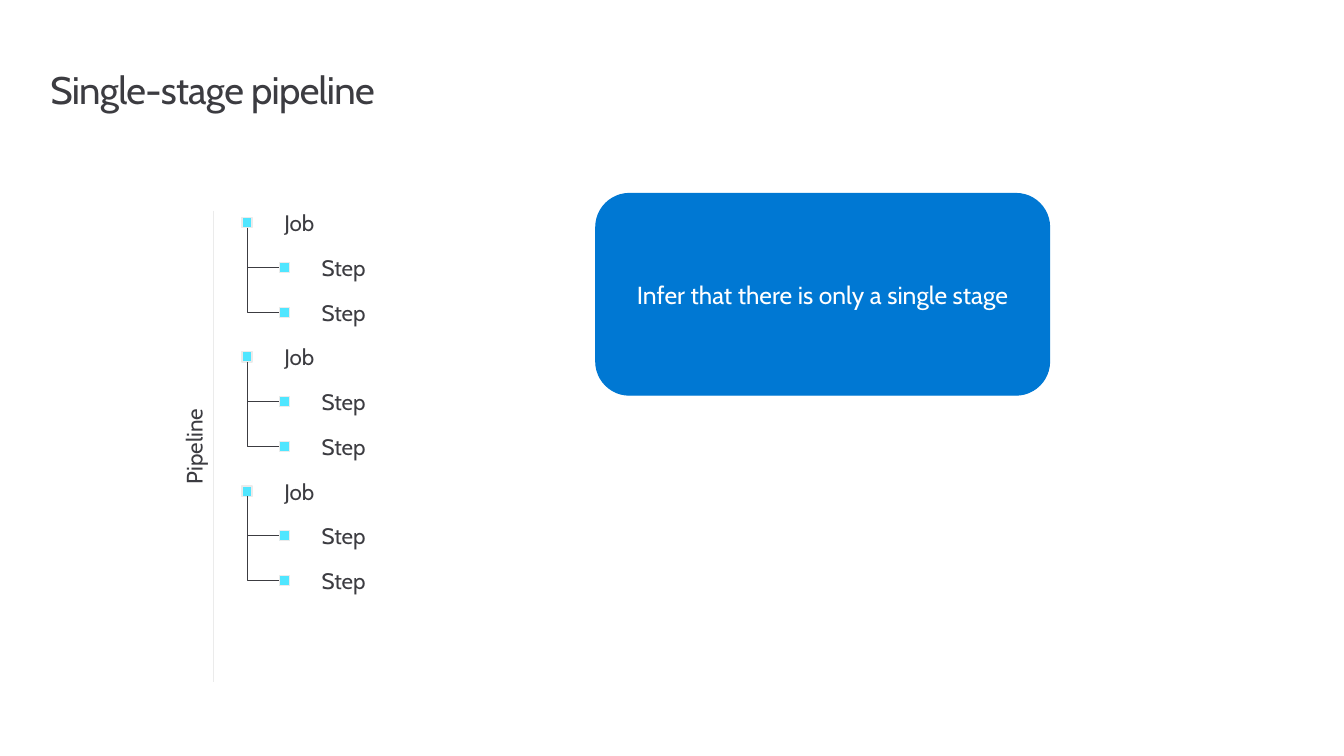
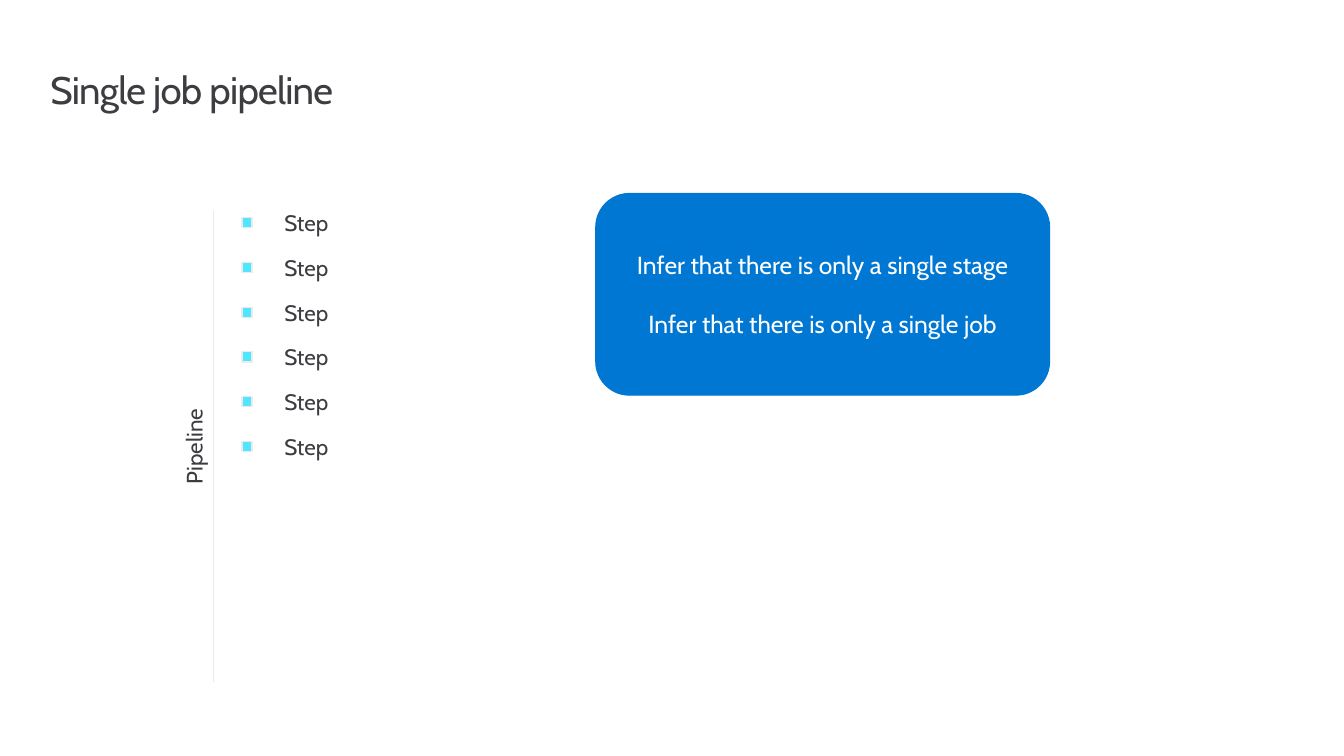
from lxml import etree
from pptx import Presentation
from pptx import util as u
from pptx.dml.color import RGBColor
from pptx.enum import shapes, text
from pptx.oxml.ns import qn

FONT = "Cabin"
INK, WHITE = "3C3C41", "FFFFFF"
CYAN, BLUE, PALE = "50E6FF", "0078D3", "EBEBEB"

FIRST_ROW, LAST_ROW = 2.16, 5.71
ROW_PITCH = (LAST_ROW - FIRST_ROW) / 8
OUTER_LEFT, INNER_LEFT = 2.4, 2.77
LABEL_GAP = 0.37
MARKER = 0.1


def rgb(hex_color):
    return RGBColor.from_string(hex_color)


class Deck:
    def __init__(self):
        self.prs = Presentation()
        self.prs.slide_width = u.Inches(13.33)
        self.prs.slide_height = u.Inches(7.5)
        self.slide = None

    def new_slide(self, title):
        self.slide = self.prs.slides.add_slide(self.prs.slide_layouts[6])
        heading = self.label(title, 0.5, 0.61, 12.36, 0.89, size=27.4,
                             insets=(0, 0.1, 0.16, 0.1), anchor=text.MSO_ANCHOR.TOP)
        paragraph = heading.text_frame.paragraphs[0]
        paragraph.line_spacing = 0.9
        paragraph.runs[0]._r.get_or_add_rPr().set("spc", "-50")

    def fill_text(self, frame, lines, size, color, align, gap=0):
        frame.word_wrap = True
        frame.text = "\n".join(lines)
        for i, paragraph in enumerate(frame.paragraphs):
            paragraph.alignment = align
            paragraph.space_before = u.Pt(gap if i else 0)
            paragraph.font.name = FONT
            paragraph.font.size = u.Pt(size)
            paragraph.font.color.rgb = rgb(color)

    def label(self, words, left, top, width, height, size=16,
              insets=(0.05, 0, 0.05, 0), anchor=text.MSO_ANCHOR.MIDDLE,
              align=text.PP_ALIGN.LEFT):
        box = self.slide.shapes.add_textbox(
            *(u.Inches(v) for v in (left, top, width, height)))
        frame = box.text_frame
        frame.margin_left, frame.margin_top, frame.margin_right, frame.margin_bottom = (
            u.Inches(v) for v in insets)
        frame.vertical_anchor = anchor
        self.fill_text(frame, [words], size, INK, align)
        return box

    def shape(self, kind, left, top, width, height, fill, line):
        shape = self.slide.shapes.add_shape(
            kind, *(u.Inches(v) for v in (left, top, width, height)))
        shape.shadow.inherit = False
        shape.fill.solid()
        shape.fill.fore_color.rgb = rgb(fill)
        shape.line.color.rgb = rgb(line)
        shape.line.width = u.Pt(0.85)
        return shape

    def connector(self, kind, start, end, color):
        line = self.slide.shapes.add_connector(
            kind, *(u.Inches(v) for v in (*start, *end)))
        line.line.color.rgb = rgb(color)
        line.line.width = u.Pt(0.75)
        etree.SubElement(line.element.spPr, qn("a:effectLst"))
        return line

    def branch(self, job, step):
        """Join a job's bottom to a step's left side with one bend."""
        elbow = self.connector(shapes.MSO_CONNECTOR.ELBOW, (0, 0), (1, 1), INK)
        elbow.begin_connect(job, 2)
        elbow.end_connect(step, 1)
        x, y = job.left + job.width // 2, job.top + job.height
        run, drop = step.left - x, step.top + step.height // 2 - y
        # A one-bend connector starts sideways, so it is turned to start downwards.
        elbow.left, elbow.top = x + (run - drop) // 2, y + (drop - run) // 2
        elbow.width, elbow.height = drop, run
        properties = elbow.element.spPr
        properties.find(qn("a:prstGeom")).set("prst", "bentConnector2")
        frame = properties.find(qn("a:xfrm"))
        frame.attrib.pop("flipV", None)
        frame.set("rot", "16200000")
        frame.set("flipH", "1")

    def item(self, words, row, left):
        top = FIRST_ROW + row * ROW_PITCH
        marker = self.shape(shapes.MSO_SHAPE.RECTANGLE, left, top,
                            MARKER, MARKER, CYAN, PALE)
        self.label(words, left + LABEL_GAP, top - 0.1, 2, 0.3)
        return marker

    def pipeline(self, names):
        """List the names; steps below a job are indented and joined to it."""
        self.connector(shapes.MSO_CONNECTOR.STRAIGHT, (2.12, 2.09), (2.12, 6.77), PALE)
        job, branches = None, []
        for row, name in enumerate(names):
            nested = name == "Step" and job is not None
            marker = self.item(name, row, INNER_LEFT if nested else OUTER_LEFT)
            if nested:
                branches.append((job, marker))
            elif name == "Job":
                job = marker
        for ends in branches:
            self.branch(*ends)
        caption = self.label("Pipeline", 0.92, 4.28, 2, 0.3, align=text.PP_ALIGN.CENTER)
        caption.rotation = 270

    def callout(self, *lines):
        card = self.shape(shapes.MSO_SHAPE.ROUNDED_RECTANGLE, 5.91, 1.92, 4.5, 2,
                          BLUE, BLUE)
        card.text_frame.vertical_anchor = text.MSO_ANCHOR.MIDDLE
        self.fill_text(card.text_frame, lines, 17.6, WHITE, text.PP_ALIGN.CENTER, gap=21)


def main():
    deck = Deck()
    single_stage = "Infer that there is only a single stage"

    deck.new_slide("Single-stage pipeline")
    deck.pipeline(["Job", "Step", "Step"] * 3)
    deck.callout(single_stage)

    deck.new_slide("Single job pipeline")
    deck.pipeline(["Step"] * 6)
    deck.callout(single_stage, "Infer that there is only a single job")

    deck.prs.save("out.pptx")


if __name__ == "__main__":
    main()
